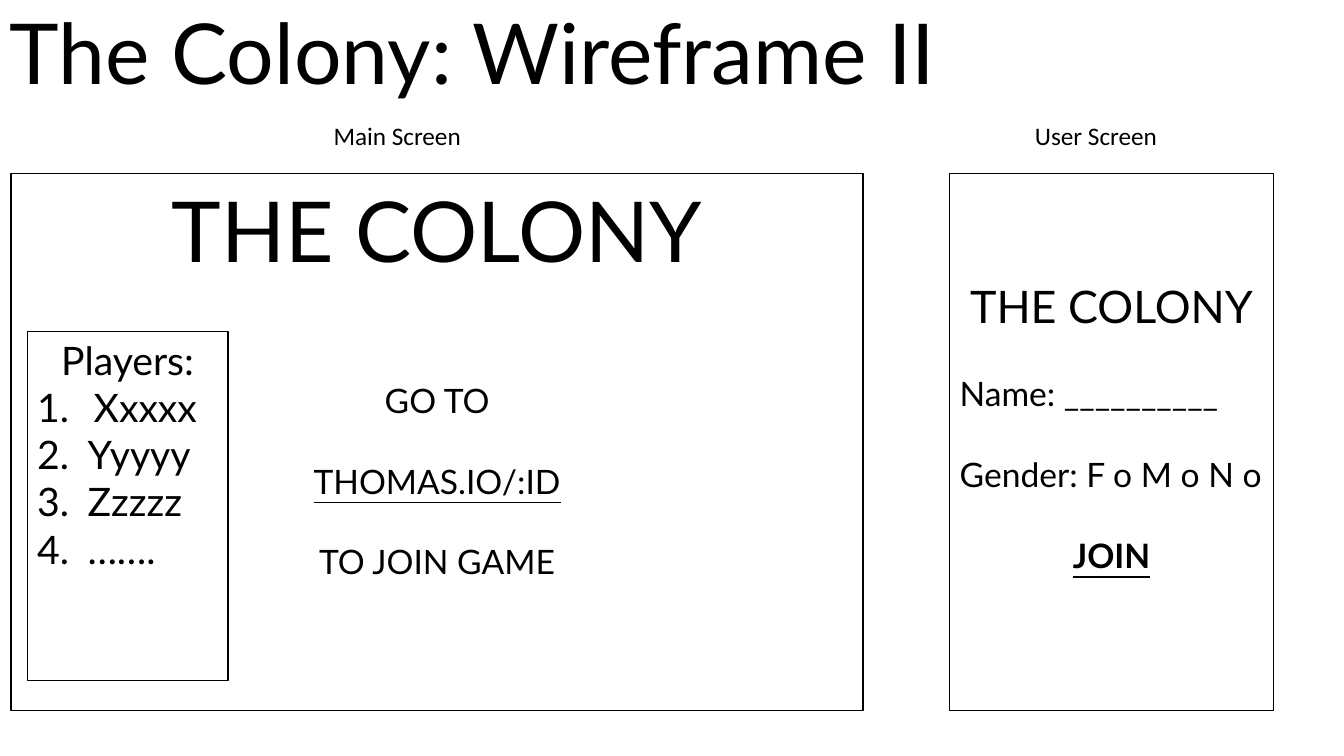
from pptx import Presentation
from pptx import util as u
from pptx.dml.color import RGBColor
from pptx.enum import shapes, text
from pptx.oxml.ns import qn
from lxml import etree

BLACK = "000000"
WHITE = "FFFFFF"
CENTER = text.PP_ALIGN.CENTER
LEFT = text.PP_ALIGN.LEFT
BIG_GAP = 72
LINE_GAP = 28.8


def color(value):
    return RGBColor.from_string(value)


def add_text(shape, content, size=24, font="Lato", align=LEFT, bold=False,
             underline=False, gap=0, line_spacing=None, indent=None):
    frame = shape.text_frame
    paragraph = frame.add_paragraph() if frame.text else frame.paragraphs[0]
    paragraph.alignment = align
    paragraph.space_before = u.Pt(gap)
    if line_spacing:
        paragraph.line_spacing = line_spacing
    run = paragraph.add_run()
    run.text = content
    run.font.name = font
    run.font.size = u.Pt(size)
    run.font.bold = bold
    run.font.underline = underline
    run.font.color.rgb = color(BLACK)
    if indent:
        properties = paragraph._p.get_or_add_pPr()
        properties.set("marL", str(u.Inches(indent)))
        properties.set("indent", str(-u.Inches(indent)))
        bullet_font = etree.SubElement(properties, qn("a:buFont"))
        bullet_font.set("typeface", "+mj-lt")
        number = etree.SubElement(properties, qn("a:buAutoNum"))
        number.set("type", "arabicPeriod")


def add_box(slide, left, top, width, height):
    shape = slide.shapes.add_shape(
        shapes.MSO_SHAPE.RECTANGLE, u.Inches(left), u.Inches(top),
        u.Inches(width), u.Inches(height))
    shape.shadow.inherit = False
    shape.fill.solid()
    shape.fill.fore_color.rgb = color(WHITE)
    shape.line.color.rgb = color(BLACK)
    shape.line.width = u.Pt(1)
    shape.text_frame.word_wrap = True
    shape.text_frame.vertical_anchor = text.MSO_ANCHOR.TOP
    return shape


def add_label(slide, left, top, width, height, content, **style):
    label = slide.shapes.add_textbox(
        u.Inches(left), u.Inches(top), u.Inches(width), u.Inches(height))
    label.text_frame.word_wrap = True
    label.text_frame.vertical_anchor = text.MSO_ANCHOR.MIDDLE
    add_text(label, content, **style)


def add_caption(slide, left, top, content):
    add_label(slide, left, top, 4.76, 0.4, content,
              size=18, font="Calibri", align=CENTER)


def add_players(slide, left, top, width, height):
    players = add_box(slide, left, top, width, height)
    add_text(players, "Players:", size=28, align=CENTER)
    for name, indent in (("Xxxxx", 0.56), ("Yyyyy", 0.5),
                         ("Zzzzz", 0.5), ("…….", 0.5)):
        add_text(players, name, size=28, indent=indent)


def add_main_screen(slide, left, top, width, height):
    screen = add_box(slide, left, top, width, height)
    add_text(screen, "THE COLONY", size=60, align=CENTER)
    add_text(screen, "GO TO", align=CENTER, gap=BIG_GAP)
    add_text(screen, "THOMAS.IO/:ID", align=CENTER, underline=True, gap=LINE_GAP)
    add_text(screen, "TO JOIN GAME", align=CENTER, gap=LINE_GAP)
    add_caption(slide, left + 1.45, top - 0.58, "Main Screen")
    add_players(slide, left + 0.16, top + 1.57, 1.99, 3.46)


def add_user_screen(slide, left, top, width, height):
    screen = add_box(slide, left, top, width, height)
    screen.text_frame.margin_top = u.Inches(1.05)
    add_text(screen, "THE COLONY", size=32, align=CENTER)
    add_text(screen, "Name: __________", gap=LINE_GAP)
    add_text(screen, "Gender: F o M o N o", gap=LINE_GAP)
    add_text(screen, "JOIN", align=CENTER, bold=True, underline=True, gap=LINE_GAP)
    add_caption(slide, left - 0.93, top - 0.58, "User Screen")


def main():
    presentation = Presentation()
    presentation.slide_width = u.Inches(13.33)
    presentation.slide_height = u.Inches(7.5)
    slide = presentation.slides.add_slide(presentation.slide_layouts[6])
    add_label(slide, 0, 0, 10.34, 1.14, "The Colony: Wireframe II",
              size=60, line_spacing=0.9)
    add_main_screen(slide, 0.11, 1.72, 8.45, 5.33)
    add_user_screen(slide, 9.42, 1.72, 3.21, 5.33)
    presentation.save("out.pptx")


if __name__ == "__main__":
    main()
